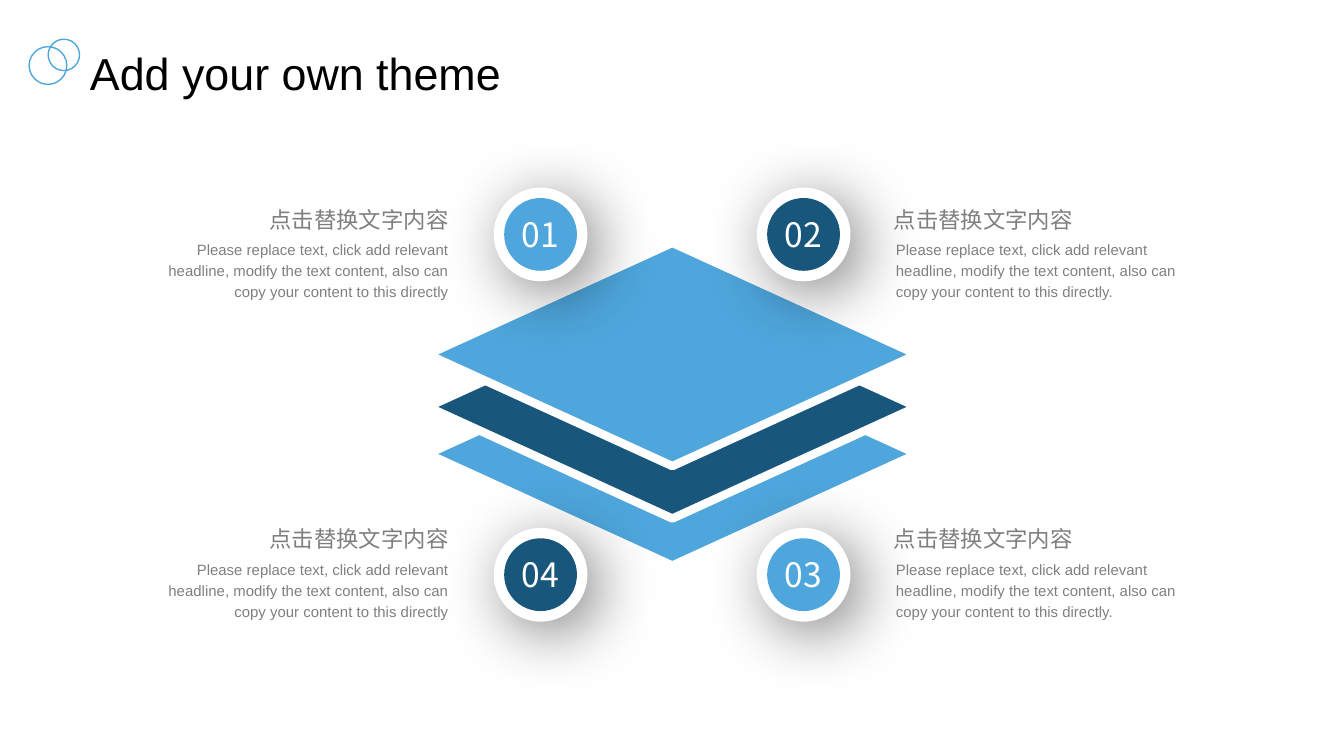
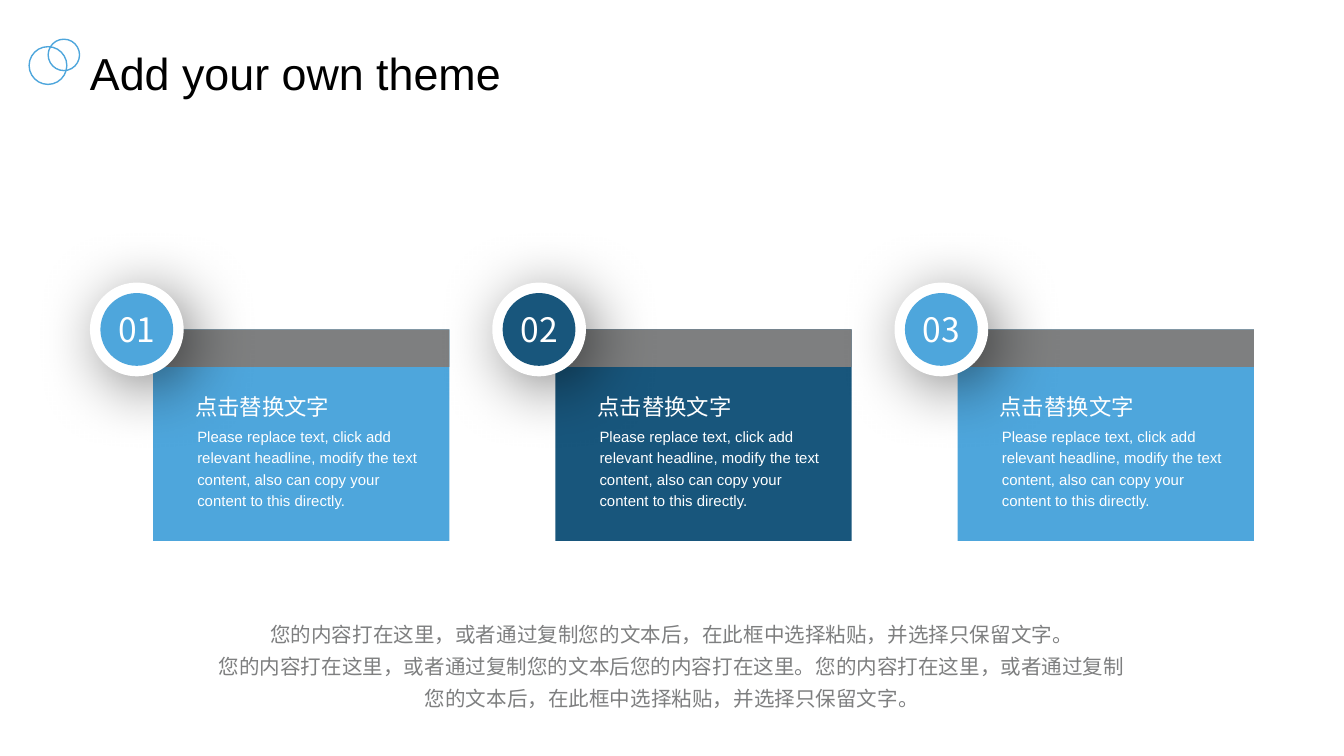
from dataclasses import dataclass

from lxml.etree import SubElement
from pptx import Presentation
from pptx.dml.color import RGBColor
from pptx.enum.shapes import MSO_SHAPE
from pptx.enum.text import MSO_ANCHOR, MSO_AUTO_SIZE, PP_ALIGN
from pptx.oxml.ns import qn
from pptx.util import Pt


@dataclass(frozen=True)
class Theme:
    """Colours, fonts and type sizes shared by the slides."""
    sky: str = "4EA6DC"
    navy: str = "18567C"
    band: str = "7E7F80"
    grey: str = "807F7F"
    white: str = "FFFFFF"
    black: str = "000000"
    latin: str = "Arial"
    chinese: str = "Noto Sans CJK SC"
    title_size: float = 24
    number_size: float = 18
    heading_size: float = 12
    note_size: float = 11
    body_size: float = 8


THEME = Theme()
TITLE = "Add your own theme"
BODY = ("Please replace text, click add relevant headline, modify the text "
        "content, also can copy your content to this directly")
NOTE = [
    "您的内容打在这里，或者通过复制您的文本后，在此框中选择粘贴，并选择只保留文字。",
    "您的内容打在这里，或者通过复制您的文本后您的内容打在这里。您的内容打在这里，或者通过复制",
    "您的文本后，在此框中选择粘贴，并选择只保留文字。",
]


def write(box, *lines, size, color, font=THEME.latin, align=PP_ALIGN.LEFT,
          spacing=1.0, margins=(0, 0, 0, 0), wrap=True):
    """Fill a box with one formatted paragraph per line."""
    frame = box.text_frame
    frame.word_wrap = wrap
    frame.auto_size = MSO_AUTO_SIZE.NONE
    frame.vertical_anchor = MSO_ANCHOR.TOP
    (frame.margin_left, frame.margin_top,
     frame.margin_right, frame.margin_bottom) = map(Pt, margins)
    for index, line in enumerate(lines):
        para = frame.add_paragraph() if index else frame.paragraphs[0]
        para.alignment = align
        para.line_spacing = spacing
        para.space_before = Pt(0)
        span = para.add_run()
        span.text = line
        span.font.size = Pt(size)
        span.font.color.rgb = RGBColor.from_string(color)
        span.font.name = font
        SubElement(span.font._element, qn("a:ea"), typeface=font)


def add_text(shapes, left, top, width, height, *lines, **style):
    """Add a text box and write formatted lines in it."""
    box = shapes.add_textbox(Pt(left), Pt(top), Pt(width), Pt(height))
    write(box, *lines, **style)


def add_figure(shapes, kind, left, top, width, height, fill=None, line=None, weight=0.75):
    """Add a preset shape with an optional fill and outline."""
    shape = shapes.add_shape(kind, Pt(left), Pt(top), Pt(width), Pt(height))
    shape.shadow.inherit = False
    if fill:
        shape.fill.solid()
        shape.fill.fore_color.rgb = RGBColor.from_string(fill)
    else:
        shape.fill.background()
    if line:
        shape.line.color.rgb = RGBColor.from_string(line)
        shape.line.width = Pt(weight)
    else:
        shape.line.fill.background()
    return shape


def add_soft_shadow(shape, blur=35, distance=8, angle=45, opacity=50):
    """Give a shape a blurred outer shadow."""
    effects = shape._element.spPr.find(qn("a:effectLst"))
    shadow = SubElement(effects, qn("a:outerShdw"), blurRad=str(Pt(blur)),
                        dist=str(Pt(distance)), dir=str(angle * 60000),
                        algn="tl", rotWithShape="0")
    color = SubElement(shadow, qn("a:srgbClr"), val=THEME.black)
    SubElement(color, qn("a:alpha"), val=str(opacity * 1000))


def add_badge(page, number, left, top, color):
    """Add a numbered disc on a white, shadowed ring."""
    shapes = page.shapes.add_group_shape().shapes
    ring = add_figure(shapes, MSO_SHAPE.OVAL, left, top, 50.2, 50.2, THEME.white)
    add_soft_shadow(ring)
    add_figure(shapes, MSO_SHAPE.OVAL, left + 5.6, top + 5.6, 39, 39, color)
    add_text(shapes, left + 7.1, top + 10.4, 36, 29, f"{number:02}",
             size=THEME.number_size, color=THEME.white, font=THEME.chinese,
             align=PP_ALIGN.CENTER, margins=(7.2, 3.6, 7.2, 3.6), wrap=False)


def add_caption(page, heading, body, left, top, width, height,
                color=THEME.grey, align=PP_ALIGN.LEFT):
    """Add a heading above a small paragraph."""
    heading_left = left - 1.2
    if align == PP_ALIGN.RIGHT:
        heading_left = left + width - 100.4
    add_text(page.shapes, heading_left, top, 100.4, 14.4, heading,
             size=THEME.heading_size, color=color, align=align)
    add_text(page.shapes, left, top + 16.6, width, height, body,
             size=THEME.body_size, color=color, align=align, spacing=1.2)


def add_page(deck):
    """Add a slide with the shared title and ring ornament."""
    page = deck.slides.add_slide(deck.slide_layouts[5])
    title = page.shapes.title
    title.left, title.top, title.width, title.height = map(Pt, (48.2, 15.1, 232.6, 34.6))
    write(title, TITLE, size=THEME.title_size, color=THEME.black,
          spacing=1.2, margins=(0, 3.5, 0, 0))
    for left, top, size in ((15.6, 25, 20.2), (25.8, 21, 16.8)):
        add_figure(page.shapes, MSO_SHAPE.OVAL, left, top, size, size, line=THEME.sky)
    return page


def build_layers(deck):
    """Build the stacked diamonds with four numbered captions."""
    page = add_page(deck)
    for top, color in ((183.4, THEME.sky), (158.2, THEME.navy), (130.1, THEME.sky)):
        add_figure(page.shapes, MSO_SHAPE.FLOWCHART_DECISION, 229.2, top, 262, 119.6,
                   color, THEME.white, 4.5)
    left, right = 264.5, 405.4
    upper, lower = 100.5, 282.8
    corners = ((left, upper, THEME.sky), (right, upper, THEME.navy),
               (right, lower, THEME.sky), (left, lower, THEME.navy))
    for number, corner in enumerate(corners, 1):
        add_badge(page, number, *corner)
    for top in (110.2, 281.6):
        add_caption(page, "点击替换文字内容", BODY + ".", 480, top, 159.2, 34.6)
        add_caption(page, "点击替换文字内容", BODY, 81.2, top, 159.2, 34.6,
                    align=PP_ALIGN.RIGHT)


def build_cards(deck):
    """Build the row of three numbered cards and the closing note."""
    page = add_page(deck)
    for index, color in enumerate((THEME.sky, THEME.navy, THEME.sky)):
        left = 82 + index * 215.5
        for height, fill in ((113.4, color), (20.2, THEME.band)):
            add_figure(page.shapes, MSO_SHAPE.RECTANGLE, left, 176.4, 158.8, height, fill)
        add_badge(page, index + 1, left - 33.8, 151.4, color)
        add_caption(page, "点击替换文字", BODY + ".", left + 23.7, 210.4, 124.6, 46.8,
                    THEME.white)
    add_text(page.shapes, 63.4, 326.9, 593.3, 56.9, *NOTE, size=THEME.note_size,
             color=THEME.band, font=THEME.chinese, align=PP_ALIGN.CENTER,
             spacing=1.3, margins=(5, 2.2, 5, 2.2))


def main():
    """Build and save the deck."""
    deck = Presentation()
    deck.slide_width, deck.slide_height = Pt(720), Pt(405)
    build_layers(deck)
    build_cards(deck)
    deck.save("out.pptx")


if __name__ == "__main__":
    main()
